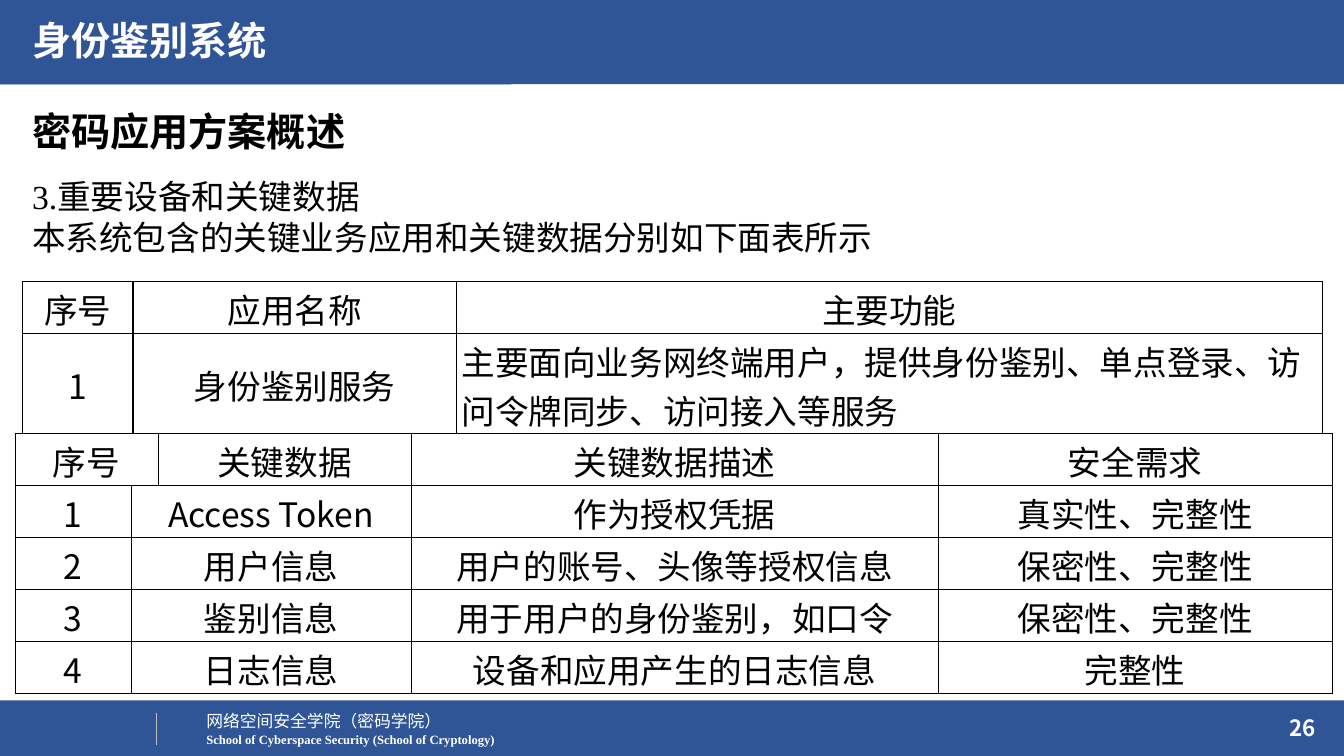
from lxml.etree import SubElement
from pptx import Presentation
from pptx.dml.color import RGBColor
from pptx.enum.shapes import MSO_CONNECTOR as Connector, MSO_SHAPE as Shape
from pptx.enum.text import MSO_ANCHOR as Anchor, PP_ALIGN as Align
from pptx.oxml.ns import qn
from pptx.util import Cm, Pt

COLORS = {"blue": "2F5597", "white": "FFFFFF", "black": "000000", "gray": "BFBFBF"}
SANS = "Noto Sans CJK SC"
SERIF = "Times New Roman"
BORDERS = ("a:lnL", "a:lnR", "a:lnT", "a:lnB")

APPLICATIONS = [
    ["序号", "应用名称", "主要功能"],
    ["1", "身份鉴别服务", "主要面向业务网终端用户，提供身份鉴别、单点登录、访问令牌同步、访问接入等服务"],
]
KEY_DATA = [
    ["序号", "", "关键数据", "关键数据描述", "安全需求"],
    ["1", "Access Token", "", "作为授权凭据", "真实性、完整性"],
    ["2", "用户信息", "", "用户的账号、头像等授权信息", "保密性、完整性"],
    ["3", "鉴别信息", "", "用于用户的身份鉴别，如口令", "保密性、完整性"],
    ["4", "日志信息", "", "设备和应用产生的日志信息", "完整性"],
]


class SlideBuilder:
    """Draws styled elements on the current slide."""

    def __init__(self, slide):
        self.slide = slide

    def color(self, name):
        return RGBColor.from_string(COLORS[name])

    def format_paragraph(self, paragraph, size, color, font=SANS, bold=False, align=Align.LEFT):
        paragraph.alignment = align
        for run in paragraph.runs:
            run.font.size = Pt(size)
            run.font.bold = bold
            run.font.name = font
            run.font.color.rgb = self.color(color)
            SubElement(run.font._element, qn("a:ea")).set("typeface", SANS)

    def bar(self, left, top, width, height):
        shape = self.slide.shapes.add_shape(Shape.RECTANGLE, Cm(left), Cm(top), Cm(width), Cm(height))
        shape.shadow.inherit = False
        shape.fill.solid()
        shape.fill.fore_color.rgb = self.color("blue")
        shape.line.fill.background()

    def line(self, left, top, bottom):
        connector = self.slide.shapes.add_connector(
            Connector.STRAIGHT, Cm(left), Cm(top), Cm(left), Cm(bottom))
        connector.line.color.rgb = self.color("gray")
        connector.line.width = Pt(0.5)
        SubElement(connector._element.spPr, qn("a:effectLst"))

    def text(self, box, content, size, color, wrap=True, anchor=Anchor.TOP, **style):
        shape = self.slide.shapes.add_textbox(*map(Cm, box))
        frame = shape.text_frame
        frame.word_wrap = wrap
        frame.vertical_anchor = anchor
        frame.text = content
        for paragraph in frame.paragraphs:
            self.format_paragraph(paragraph, size, color, **style)

    def cell_borders(self, cell):
        properties = cell._tc.get_or_add_tcPr()
        for position, tag in enumerate(BORDERS):
            border = properties.makeelement(qn(tag), {"w": str(Pt(1))})
            fill = SubElement(border, qn("a:solidFill"))
            SubElement(fill, qn("a:srgbClr")).set("val", COLORS["black"])
            properties.insert(position, border)

    def table(self, left, top, columns, heights, rows, margins, merges=()):
        table = self.slide.shapes.add_table(
            len(rows), len(columns), Cm(left), Cm(top), Cm(sum(columns)), Cm(sum(heights))).table
        table.first_row = table.horz_banding = False
        for column, width in zip(table.columns, columns):
            column.width = Cm(width)
        for row, height, contents in zip(table.rows, heights, rows):
            row.height = Cm(height)
            for cell, content in zip(row.cells, contents):
                cell.text = content
                cell.fill.background()
                cell.margin_left, cell.margin_right = map(Cm, margins)
                cell.margin_top, cell.margin_bottom = Cm(0.08), Cm(0)
                self.cell_borders(cell)
                self.format_paragraph(cell.text_frame.paragraphs[0], 24, "black", align=Align.CENTER)
        for row, column in merges:
            table.cell(row, column).merge(table.cell(row, column + 1))
        return table


def main():
    presentation = Presentation()
    presentation.slide_width, presentation.slide_height = Cm(33.87), Cm(19.05)
    builder = SlideBuilder(presentation.slides.add_slide(presentation.slide_layouts[6]))

    builder.bar(0, 17.65, 33.87, 1.4)
    builder.bar(0, 0, 33.87, 2.12)
    builder.bar(0, 0, 12.89, 2.13)
    builder.text((4.95, 17.78, 6.5, 0.76), "网络空间安全学院（密码学院）", 12, "white", wrap=False)
    builder.text((4.95, 18.31, 7.85, 0.64), "School of Cyberspace Security (School of Cryptology)",
                 9, "white", wrap=False, font=SERIF, bold=True)
    builder.line(3.95, 17.96, 18.77)
    builder.text((25.78, 17.83, 7.62, 1.02), "26", 16, "white",
                 anchor=Anchor.MIDDLE, bold=True, align=Align.RIGHT)

    builder.text((0.56, 2.57, 32.77, 1.57), "密码应用方案概述", 28, "black", bold=True)
    builder.text((0.56, 4.32, 32.77, 12.55),
                 "3.重要设备和关键数据\n本系统包含的关键业务应用和关键数据分别如下面表所示",
                 24, "black", font=SERIF, align=Align.JUSTIFY)
    builder.text((0.56, 0.28, 21.39, 1.55), "身份鉴别系统", 28, "white", bold=True)

    applications = builder.table(0.56, 7.09, [2.79, 8.15, 21.82], [1.31, 2.52],
                                 APPLICATIONS, (0.13, 0.13))
    for column in (0, 1):
        applications.cell(1, column).vertical_anchor = Anchor.MIDDLE
    applications.cell(1, 2).text_frame.paragraphs[0].alignment = Align.LEFT

    merges = [(0, 0)] + [(row, 1) for row in range(1, len(KEY_DATA))]
    builder.table(0.39, 10.92, [2.92, 0.41, 6.38, 13.28, 9.93], [1.31] * len(KEY_DATA),
                  KEY_DATA, (0.28, 0.3), merges)
    presentation.save("out.pptx")


if __name__ == "__main__":
    main()
